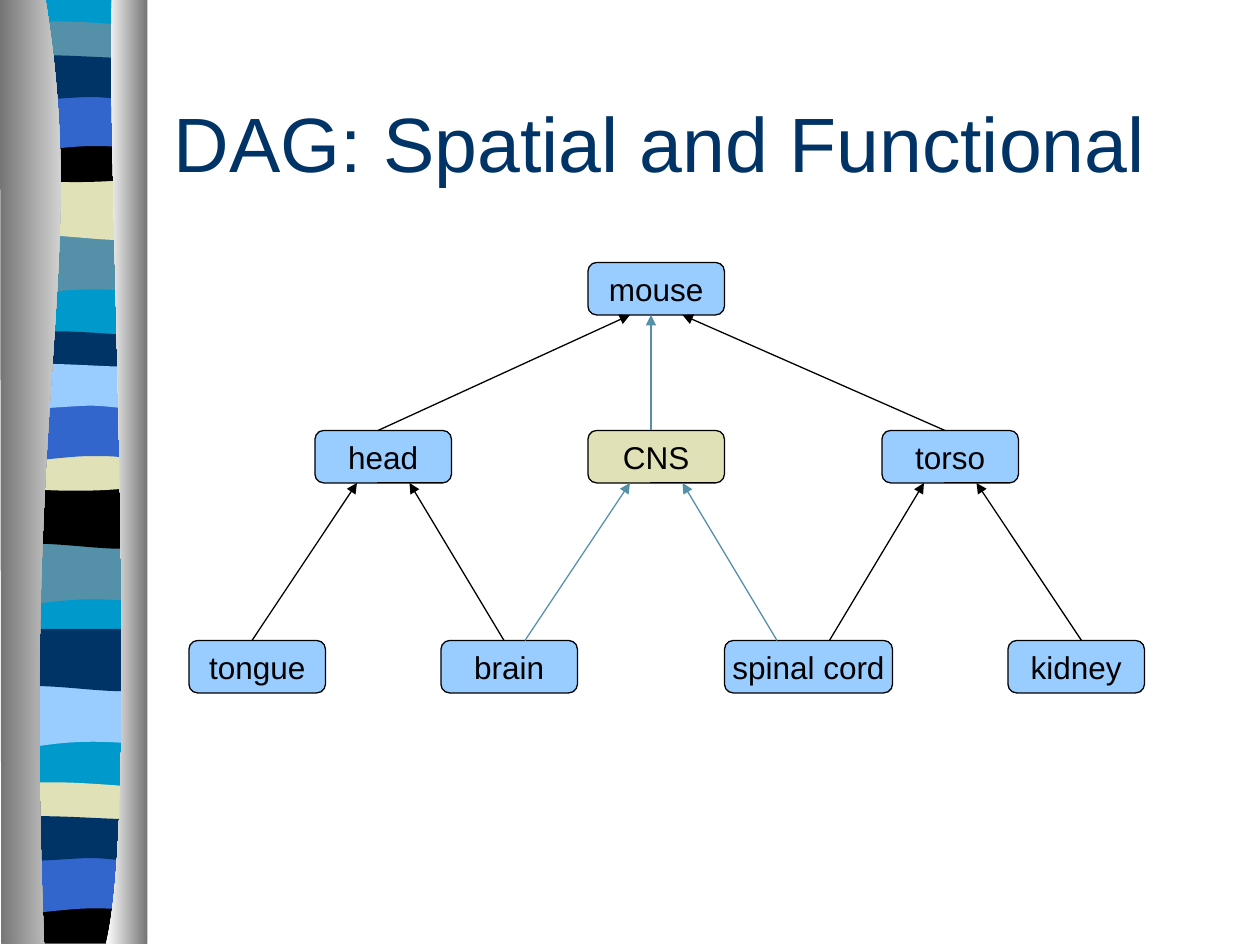
from dataclasses import dataclass

from lxml import etree
from pptx import Presentation
from pptx import util as u
from pptx.dml.color import RGBColor
from pptx.enum import shapes, text
from pptx.oxml.ns import qn


@dataclass(frozen=True)
class Theme:
    font: str = "Arial"
    title_size: int = 44
    label_size: int = 18
    line_width: float = 0.75
    navy: str = "003366"
    black: str = "000000"
    sky: str = "99CCFF"
    sand: str = "E1E1B7"
    teal: str = "5490A8"
    blue: str = "3366CC"
    cyan: str = "0099CC"
    grey: str = "757575"
    white: str = "FFFFFF"


THEME = Theme()

# Stripe outlines: two numbers are a corner, six are a Bezier curve
WAVES = {
    "dip": [(1.08, 0), (1.08, 0.47), (0.33, 0.39, 0.18, 0.55, 0, 0.47), (0, 0)],
    "swell": [(1.08, 0), (1.08, 0.47), (0.9, 0.55, 0.33, 0.41, 0, 0.47), (0, 0)],
    "thin": [(1.08, 0.05), (1.08, 0.29), (0.9, 0.33, 0.18, 0.33, 0, 0.29), (0, 0.05),
             (0.06, 0, 0.23, 0.01, 0.41, 0.01), (0.59, 0.01, 0.94, 0.04, 1.08, 0.05)],
    "sag": [(1.08, 0), (1.08, 0.32), (0.9, 0.38, 0.18, 0.38, 0, 0.32), (0, 0),
            (0.66, 0.05, 0.85, 0, 1.08, 0)],
    "foot": [(1.08, 0), (1.08, 0.37), (0, 0.37), (0, 0),
             (0.66, 0.05, 0.85, 0, 1.08, 0)],
    "arch": [(1.08, 0), (1.08, 0.47), (0.91, 0.42, 0.84, 0.42, 0.66, 0.42),
             (0.48, 0.42, 0.16, 0.47, 0, 0.47), (0, 0)],
    "ripple": [(1.08, 0.05), (1.08, 0.36), (1.01, 0.41, 0.84, 0.36, 0.66, 0.36),
               (0.48, 0.36, 0.11, 0.41, 0, 0.36), (0, 0.05),
               (0.15, 0, 0.73, 0.05, 0.91, 0.05)],
}
STRIPES = [
    ("dip", 1.85, THEME.teal), ("swell", 1.41, THEME.sand), ("thin", 0.16, THEME.teal),
    ("sag", 1.08, THEME.black), ("arch", 0.74, THEME.blue), ("ripple", 0.41, THEME.navy),
    ("dip", 4.31, THEME.teal), ("swell", 3.86, THEME.black), ("thin", 2.62, THEME.navy),
    ("sag", 3.53, THEME.sand), ("arch", 3.2, THEME.blue), ("ripple", 2.86, THEME.sky),
    ("dip", 5.44, THEME.sky), ("swell", 4.99, THEME.navy), ("thin", 6.2, THEME.sand),
    ("foot", 7.12, THEME.black), ("arch", 6.79, THEME.blue), ("ripple", 6.45, THEME.navy),
]

# The graph lies on a grid of twelfths of an inch
ROOT, MIDDLE, LEAF = 25, 41, 61
BOX_WIDTH, BOX_HEIGHT = 13, 5
ANATOMY_NODES = [
    ("mouse", 56, ROOT, BOX_WIDTH),
    ("torso", 84, MIDDLE, BOX_WIDTH),
    ("head", 30, MIDDLE, BOX_WIDTH),
    ("tongue", 18, LEAF, BOX_WIDTH),
    ("brain", 42, LEAF, BOX_WIDTH),
    ("spinal cord", 69, LEAF, 16),
    ("kidney", 96, LEAF, BOX_WIDTH),
]
# Child x and row, parent x and row
SPATIAL_LINKS = [
    (36, MIDDLE, 60, ROOT), (90, MIDDLE, 65, ROOT),
    (24, LEAF, 34, MIDDLE), (48, LEAF, 39, MIDDLE),
    (79, LEAF, 88, MIDDLE), (103, LEAF, 93, MIDDLE),
]
FUNCTIONAL_LINKS = [
    (62, MIDDLE, 62, ROOT), (50, LEAF, 60, MIDDLE), (74, LEAF, 65, MIDDLE),
]


def rgb(colour):
    return RGBColor.from_string(colour)


def grid(*units):
    return [u.Inches(unit / 12) for unit in units]


def add_outline(group, outline, left=0, top=0):
    """Add a closed outline, joining each curve's three points into one Bezier."""
    points = [(u.Inches(left + part[i]), u.Inches(top + part[i + 1]))
              for part in outline for i in range(0, len(part), 2)]
    builder = group.shapes.build_freeform(*points[0])
    builder.add_line_segments(points[1:], close=True)
    shape = builder.convert_to_shape()
    segments = iter(list(shape._element.iter(qn("a:lnTo"))))
    for part in outline[1:]:
        segment = next(segments)
        if len(part) == 6:
            segment.tag = qn("a:cubicBezTo")
            for _ in range(2):
                extra = next(segments)
                segment.append(extra[0])
                extra.getparent().remove(extra)
    shape.shadow.inherit = False
    shape.line.fill.background()
    return shape


def add_stripe(group, outline, top, colour):
    shape = add_outline(group, outline, 0.06, top)
    shape.fill.solid()
    shape.fill.fore_color.rgb = rgb(colour)


def add_edge(group, outline, start, end):
    shape = add_outline(group, outline)
    shape.fill.gradient()
    shape.fill.gradient_angle = 0
    for stop, colour in zip(shape.fill.gradient_stops, (start, end)):
        stop.color.rgb = rgb(colour)


def add_band(slide):
    """Draw the band, then hand it to the slide master as its backdrop."""
    group = slide.shapes.add_group_shape()
    add_stripe(group, [(0, 0), (1.08, 0), (1.08, 7.48), (0, 7.48)], -0.01, THEME.cyan)
    for wave, top, colour in STRIPES:
        add_stripe(group, WAVES[wave], top, colour)
    add_edge(group, [(0.36, -0.01), (0.71, 2.16, 0.17, 2.96, 0.35, 7.49),
                     (0.01, 7.49), (0, -0.01)], THEME.grey, THEME.white)
    add_edge(group, [(0.89, -0.01), (0.84, 1.25, 1.12, 6.46, 0.84, 7.49),
                     (1.17, 7.49), (1.17, 0)], THEME.white, THEME.grey)
    slide.slide_layout.slide_master.shapes._spTree.insert(2, group._element)


def write(paragraph, content, size, colour, alignment):
    paragraph.alignment = alignment
    run = paragraph.add_run()
    run.text = content
    run.font.name = THEME.font
    run.font.size = u.Pt(size)
    run.font.color.rgb = rgb(colour)


def set_title(slide, content):
    title = slide.shapes.title
    title.left, title.top = u.Inches(1.28), u.Inches(0.5)
    title.width, title.height = u.Inches(8.5), u.Inches(1.25)
    frame = title.text_frame
    frame.auto_size = text.MSO_AUTO_SIZE.NONE
    frame.vertical_anchor = text.MSO_ANCHOR.MIDDLE
    write(frame.paragraphs[0], content, THEME.title_size, THEME.navy, text.PP_ALIGN.LEFT)


def add_node(slide, label, left, top, width, colour):
    shape = slide.shapes.add_shape(
        shapes.MSO_SHAPE.ROUNDED_RECTANGLE, *grid(left, top, width, BOX_HEIGHT))
    shape.shadow.inherit = False
    shape.fill.solid()
    shape.fill.fore_color.rgb = rgb(colour)
    shape.line.color.rgb = rgb(THEME.black)
    shape.line.width = u.Pt(THEME.line_width)
    frame = shape.text_frame
    frame.word_wrap = False
    frame.vertical_anchor = text.MSO_ANCHOR.MIDDLE
    write(frame.paragraphs[0], label, THEME.label_size, THEME.black, text.PP_ALIGN.CENTER)


def add_arrow(slide, child_x, child_top, parent_x, parent_top, colour):
    arrow = slide.shapes.add_connector(
        shapes.MSO_CONNECTOR.STRAIGHT,
        *grid(child_x, child_top, parent_x, parent_top + BOX_HEIGHT))
    arrow.line.color.rgb = rgb(colour)
    arrow.line.width = u.Pt(THEME.line_width)
    etree.SubElement(arrow.line._get_or_add_ln(), qn("a:tailEnd"), type="triangle")
    etree.SubElement(arrow._element.spPr, qn("a:effectLst"))


def main():
    presentation = Presentation()
    presentation.slide_width, presentation.slide_height = u.Inches(10), u.Inches(7.5)
    slide = presentation.slides.add_slide(presentation.slide_layouts[5])
    # Decorative band and title
    add_band(slide)
    set_title(slide, "DAG: Spatial and Functional")
    # Spatial graph
    for node in ANATOMY_NODES:
        add_node(slide, *node, THEME.sky)
    for link in SPATIAL_LINKS:
        add_arrow(slide, *link, THEME.black)
    # Functional graph
    add_node(slide, "CNS", 56, MIDDLE, BOX_WIDTH, THEME.sand)
    for link in FUNCTIONAL_LINKS:
        add_arrow(slide, *link, THEME.teal)
    presentation.save("out.pptx")


if __name__ == "__main__":
    main()
